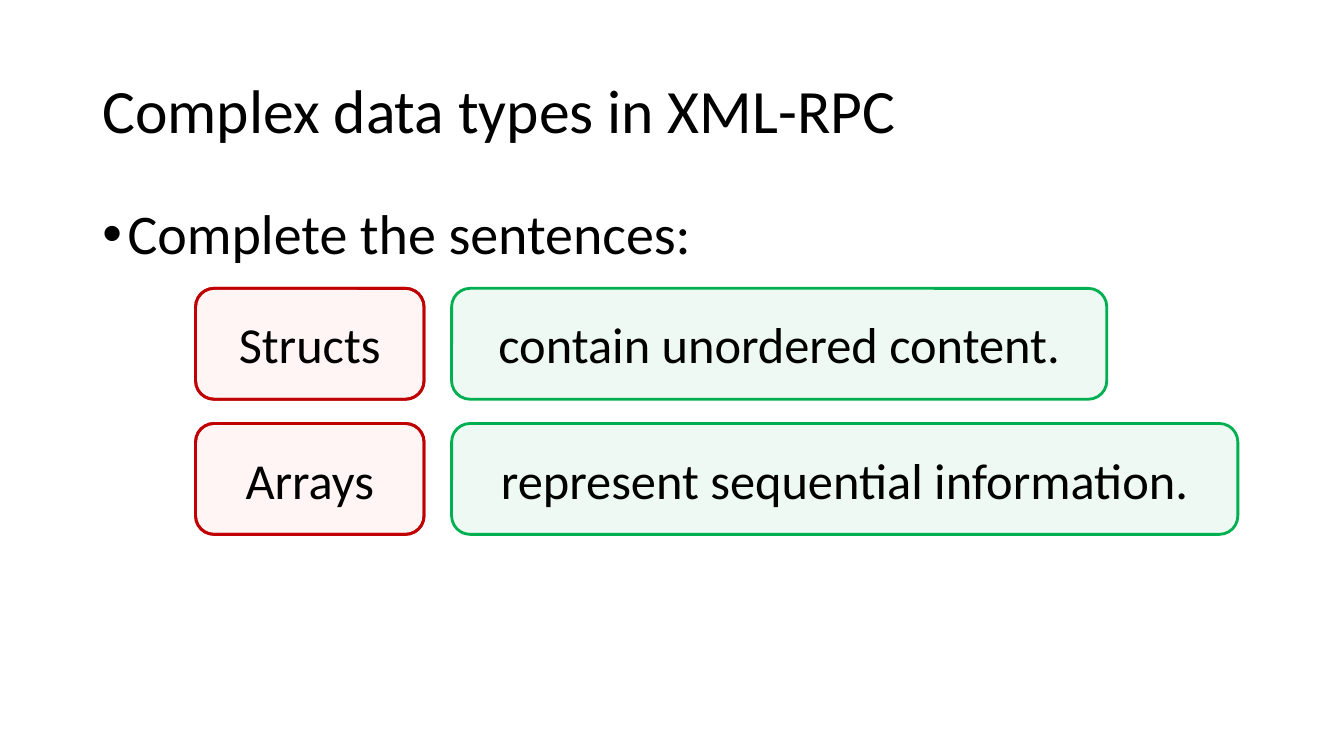
import pptx
import pptx.util
import pptx.dml.color
import pptx.enum.shapes
import pptx.enum.text
import pptx.oxml
import pptx.oxml.ns
from pptx.util import Pt

FONT = "Calibri"
COLORS = {
    "text": "000000",
    "term_fill": "FF0000",
    "term_line": "C00000",
    "ending_fill": "00B050",
    "ending_line": "00B050",
}
OPACITY = {"term": 2, "ending": 7}
TERM_LEFT, TERM_WIDTH = 139.7, 163.2
ENDING_LEFT = 322.6
FIRST_TOP, ROW_STEP, BOX_HEIGHT = 206, 96.5, 79.2
SENTENCES = [
    ("Structs", "contain unordered content.", 468),
    ("Arrays", "represent sequential information.", 561.6),
]


def rgb(name):
    return pptx.dml.color.RGBColor.from_string(COLORS[name])


def format_text(text_frame, size, alignment, anchor):
    text_frame.word_wrap = True
    text_frame.auto_size = pptx.enum.text.MSO_AUTO_SIZE.NONE
    text_frame.vertical_anchor = anchor
    for paragraph in text_frame.paragraphs:
        paragraph.alignment = alignment
        for run in paragraph.runs:
            run.font.name = FONT
            run.font.size = Pt(size)
            run.font.color.rgb = rgb("text")


def fill_placeholder(shape, text, box, size, anchor):
    shape.left, shape.top, shape.width, shape.height = (Pt(value) for value in box)
    shape.text_frame.text = text
    format_text(shape.text_frame, size, pptx.enum.text.PP_ALIGN.LEFT, anchor)
    paragraph = shape.text_frame.paragraphs[0]
    paragraph.line_spacing = 0.9
    return paragraph


def add_bullet(paragraph, indent):
    properties = paragraph._p.get_or_add_pPr()
    properties.set("marL", str(Pt(indent)))
    properties.set("indent", str(-Pt(indent)))
    namespace = pptx.oxml.ns.nsdecls("a")
    for xml in (f'<a:buFont {namespace} typeface="Arial"/>', f'<a:buChar {namespace} char="•"/>'):
        properties.append(pptx.oxml.parse_xml(xml))


def add_box(slide, kind, left, top, width, text=""):
    """Add a tinted rounded box of the kind "term" or "ending"."""
    shape = slide.shapes.add_shape(
        pptx.enum.shapes.MSO_SHAPE.ROUNDED_RECTANGLE,
        Pt(left), Pt(top), Pt(width), Pt(BOX_HEIGHT))
    shape.shadow.inherit = False
    shape.fill.solid()
    shape.fill.fore_color.rgb = rgb(f"{kind}_fill")
    color = shape._element.spPr.find(".//" + pptx.oxml.ns.qn("a:srgbClr"))
    color.append(pptx.oxml.parse_xml(
        f'<a:alpha {pptx.oxml.ns.nsdecls("a")} val="{OPACITY[kind] * 1000}"/>'))
    shape.line.color.rgb = rgb(f"{kind}_line")
    shape.line.width = Pt(2)
    if text:
        shape.text_frame.text = text
        format_text(shape.text_frame, 36, pptx.enum.text.PP_ALIGN.CENTER,
                    pptx.enum.text.MSO_ANCHOR.MIDDLE)


def add_sentence(slide, top, term, ending, ending_width):
    """Add an ending and a term, the term set over its own empty slot."""
    add_box(slide, "term", TERM_LEFT, top, TERM_WIDTH)
    add_box(slide, "ending", ENDING_LEFT, top, ending_width, ending)
    add_box(slide, "term", TERM_LEFT, top, TERM_WIDTH, term)


def main():
    presentation = pptx.Presentation()
    presentation.slide_width, presentation.slide_height = Pt(960), Pt(540)
    slide = presentation.slides.add_slide(presentation.slide_layouts[1])

    fill_placeholder(slide.shapes.title, "Complex data types in XML-RPC",
                     (66, 28.75, 828, 104.4), 44, pptx.enum.text.MSO_ANCHOR.MIDDLE)
    prompt = fill_placeholder(slide.placeholders[1], "Complete the sentences:",
                              (66, 143.75, 828, 342.6), 40, pptx.enum.text.MSO_ANCHOR.TOP)
    prompt.space_before = Pt(10)
    add_bullet(prompt, 18)

    for row, sentence in enumerate(SENTENCES):
        add_sentence(slide, FIRST_TOP + row * ROW_STEP, *sentence)

    presentation.save("out.pptx")


if __name__ == "__main__":
    main()
